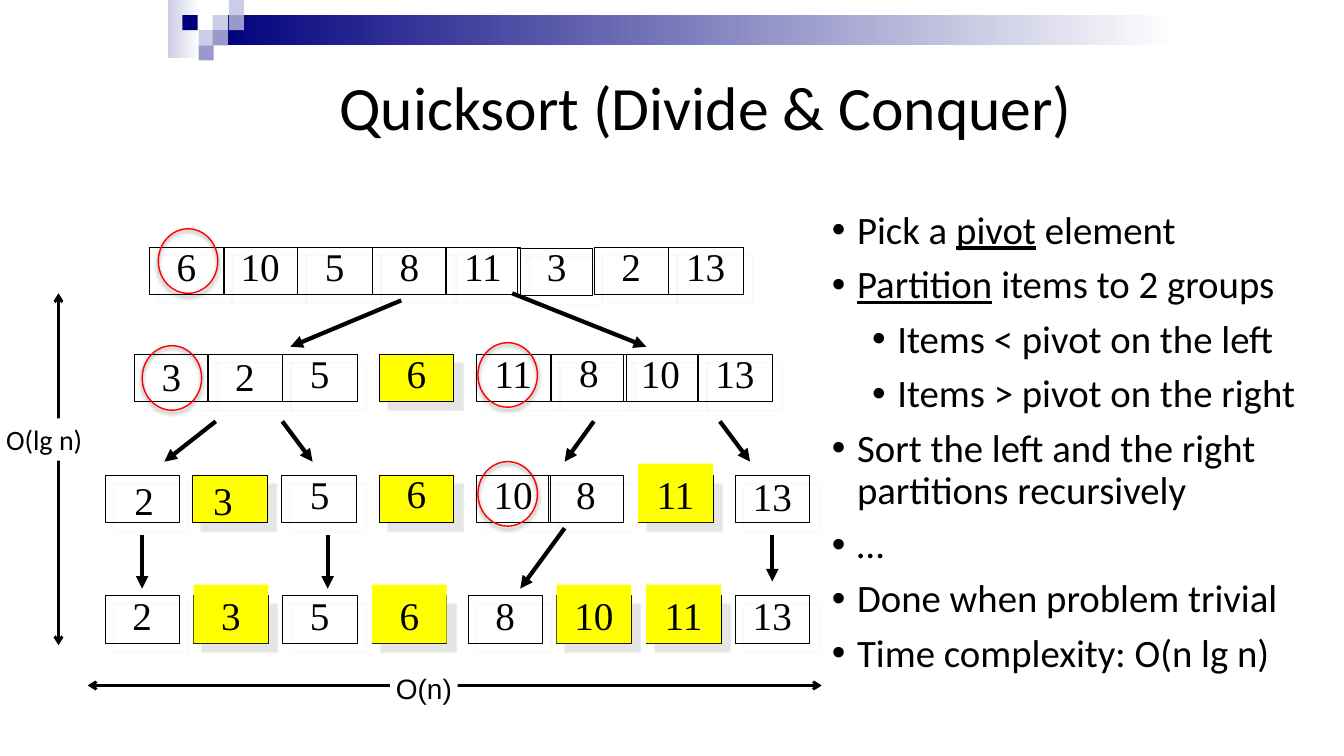
from enum import Enum
from typing import NamedTuple

from lxml.etree import SubElement
from pptx import Presentation
from pptx.dml.color import RGBColor
from pptx.enum.shapes import MSO_CONNECTOR, MSO_SHAPE
from pptx.enum.text import MSO_ANCHOR, MSO_AUTO_SIZE, PP_ALIGN
from pptx.oxml.ns import qn
from pptx.util import Emu, Pt

PX = 9144  # 100 px to the inch
BLACK = RGBColor(0, 0, 0)
WHITE = RGBColor(255, 255, 255)
RED = RGBColor(255, 0, 0)
YELLOW = RGBColor(255, 255, 0)
NAVY = RGBColor(0x00, 0x00, 0x7D)
LILAC = RGBColor(0x99, 0x99, 0xCC)
PALE = RGBColor(0xCC, 0xCC, 0xE6)
GREY = RGBColor(0xE7, 0xE6, 0xE6)
CELL_W, CELL_H = 74, 47


class Kind(Enum):
    PLAIN = 0
    PIVOT = 1
    LIT = 2
    FULL = 3  # the number's own box is yellow too


class Cell(NamedTuple):
    x: int
    num: str
    kind: Kind = Kind.PLAIN
    dx: int = 0
    dy: int = 0
    sink: int = 0


class Row(NamedTuple):
    y: int
    cells: list[Cell]


class Arrow(NamedTuple):
    x1: int
    y1: int
    x2: int
    y2: int
    width: int = 3
    tip: str = "triangle"
    double: bool = False


class Shade(NamedTuple):
    color: RGBColor
    alpha: int
    blur: int
    dist: int
    angle: int


class Label(NamedTuple):
    text: str
    box: tuple[int, int, int, int]
    face: str
    align: PP_ALIGN


class Item(NamedTuple):
    runs: list[tuple[str, bool]]  # text, underlined
    level: int = 0


PLAIN, PIVOT, LIT, FULL = Kind
CELL_SHADE = Shade(GREY, 100, 1, 9, 45)
RING_SHADE = Shade(BLACK, 50, 3, 2, 90)

ROWS = [
    Row(245, [Cell(148, "6", PIVOT), Cell(221, "10"), Cell(295, "5"), Cell(369, "8"),
              Cell(442, "11"), Cell(513, "3", dx=2, sink=1), Cell(589, "2"), Cell(663, "13")]),
    Row(351, [Cell(133, "3", PIVOT, dy=3), Cell(206, "2", dy=3), Cell(280, "5"),
              Cell(376, "6", LIT), Cell(472, "11", PIVOT), Cell(547, "8", dy=-1),
              Cell(618, "10"), Cell(692, "13")]),
    Row(471, [Cell(104, "2", dx=2, dy=6), Cell(191, "3", LIT, dx=-7, dy=6),
              Cell(279, "5", dx=1), Cell(376, "6", LIT, dy=-1), Cell(472, "10", PIVOT),
              Cell(544, "8"), Cell(633, "11", FULL), Cell(729, "13", dy=2)]),
    Row(591, [Cell(104, "2"), Cell(192, "3", FULL), Cell(280, "5"), Cell(369, "6", FULL),
              Cell(464, "8"), Cell(552, "10", FULL), Cell(641, "11", FULL), Cell(729, "13")]),
]
RINGS = [(157, 227), (141, 343), (474, 340), (474, 458)]
ARROWS = [
    Arrow(398, 298, 288, 344), Arrow(508, 291, 641, 344),
    Arrow(214, 418, 163, 458), Arrow(280, 418, 310, 458),
    Arrow(589, 418, 560, 458), Arrow(714, 418, 744, 458),
    Arrow(141, 531, 141, 584), Arrow(325, 531, 325, 584),
    Arrow(560, 524, 516, 584), Arrow(766, 531, 766, 577),
    Arrow(58, 291, 58, 640, 2, "arrow", True),
    Arrow(815, 680, 87, 680, 2, "arrow", True),
]
LABELS = [Label("O(lg n)", (0, 415, 88, 42), "Calibri", PP_ALIGN.LEFT),
          Label("O(n)", (387, 660, 67, 45), "Arial", PP_ALIGN.CENTER)]
BANDS = [((167, 0, 31, 58), PALE), ((212, 15, 955, 30), NAVY)]
TILES = [(211, 15, PALE), (227, 0, PALE), (227, 15, LILAC), (197, 30, PALE),
         (181, 15, NAVY), (211, 30, LILAC), (197, 45, LILAC)]
ITEMS = [
    Item([("Pick a ", False), ("pivot", True), (" element", False)]),
    Item([("Partition", True), (" items to 2 groups", False)]),
    Item([("Items < pivot on the left", False)], 1),
    Item([("Items > pivot on the right", False)], 1),
    Item([("Sort the left and the right partitions recursively", False)]),
    Item([("…", False)]),
    Item([("Done when problem trivial", False)]),
    Item([("Time complexity: O(n lg n)", False)]),
]


def px(*nums: int) -> list[Emu]:
    return [Emu(n * PX) for n in nums]


def paint(shape, fill: RGBColor | None) -> None:
    if fill is None:
        shape.fill.background()
    else:
        shape.fill.solid()
        shape.fill.fore_color.rgb = fill


def draw(slide, form: MSO_SHAPE, box, fill=None, line=None, width=0.25, shade: Shade | None = None):
    shape = slide.shapes.add_shape(form, *px(*box))
    paint(shape, fill)
    if line is None:
        shape.line.fill.background()
    else:
        shape.line.color.rgb, shape.line.width = line, Pt(width)
    shape.shadow.inherit = False
    if shade:
        glow = SubElement(shape._element.spPr.find(qn("a:effectLst")), qn("a:outerShdw"),
                          blurRad=str(Pt(shade.blur)), dist=str(Pt(shade.dist)),
                          dir=str(shade.angle * 60000), algn="ctr", rotWithShape="0")
        tint = SubElement(glow, qn("a:srgbClr"), val=str(shade.color))
        SubElement(tint, qn("a:alpha"), val=str(shade.alpha * 1000))
    return shape


def frame(shape, pad: int, anchor: MSO_ANCHOR, wrap: bool = True):
    text = shape.text_frame
    text.auto_size, text.word_wrap = MSO_AUTO_SIZE.NONE, wrap
    text.vertical_anchor = anchor
    text.margin_left = text.margin_right = text.margin_top = text.margin_bottom = Emu(pad * PX)
    return text


def add_run(para, text: str, face: str, size: float, under: bool = False) -> None:
    run = para.add_run()
    run.text = text
    font = run.font
    font.name, font.size, font.color.rgb = face, Pt(size), BLACK
    if under:
        font.underline = True


def write(slide, label: str, box, fill, pad: int, anchor, face: str, size: int, align, wrap=True) -> None:
    shape = slide.shapes.add_textbox(*px(*box))
    paint(shape, fill)
    para = frame(shape, pad, anchor, wrap).paragraphs[0]
    para.alignment = align
    add_run(para, label, face, size)


def add_cell(slide, cell: Cell, y: int) -> None:
    fill = YELLOW if cell.kind in (LIT, FULL) else None
    draw(slide, MSO_SHAPE.RECTANGLE, (cell.x, y + cell.sink, CELL_W, CELL_H), fill, BLACK, shade=CELL_SHADE)
    high = 62 if cell.kind is PLAIN else 58
    box = (cell.x + cell.dx, y + CELL_H + cell.dy - high, CELL_W, high)
    write(slide, cell.num, box, YELLOW if cell.kind is FULL else None, 5,
          MSO_ANCHOR.BOTTOM, "Times New Roman", 28, PP_ALIGN.CENTER)


def add_arrow(slide, arrow: Arrow) -> None:
    link = slide.shapes.add_connector(MSO_CONNECTOR.STRAIGHT, *px(*arrow[:4]))
    link.line.color.rgb, link.line.width = BLACK, Pt(arrow.width)
    for end in ("a:headEnd", "a:tailEnd") if arrow.double else ("a:tailEnd",):
        SubElement(link.line._get_or_add_ln(), qn(end), type=arrow.tip)
    SubElement(link._element.spPr, qn("a:effectLst"))


def add_item(para, item: Item, first: bool) -> None:
    para.level = item.level
    props = para._p.get_or_add_pPr()
    props.set("marL", str((65 if item.level else 25) * PX))
    props.set("indent", str(-25 * PX))
    SubElement(props, qn("a:buFont"), typeface="Arial")
    SubElement(props, qn("a:buChar"), char="•")
    para.line_spacing, para.space_before = 0.9, Pt(0 if first else 9)
    for text, under in item.runs:
        add_run(para, text, "Calibri", 27.7, under)


def main() -> None:
    deck = Presentation()
    deck.slide_width, deck.slide_height = px(1333, 750)
    slide = deck.slides.add_slide(deck.slide_layouts[1])
    title, body = slide.placeholders

    # Banner
    for box, tone in BANDS:
        band = draw(slide, MSO_SHAPE.RECTANGLE, box)
        band.fill.gradient()
        band.fill.gradient_angle = 180
        for stop, color in zip(band.fill.gradient_stops, (WHITE, tone)):
            stop.color.rgb = color
    for x, y, tone in TILES:
        draw(slide, MSO_SHAPE.RECTANGLE, (x, y, 15, 15), tone)

    # Title and list
    title.left, title.top, title.width, title.height = px(310, 68, 781, 107)
    head = frame(title, 0, MSO_ANCHOR.TOP).paragraphs[0]
    head.alignment = PP_ALIGN.CENTER
    add_run(head, "Quicksort (Divide & Conquer)", "Calibri", 44)
    body.left, body.top, body.width, body.height = px(815, 204, 501, 500)
    text = frame(body, 5, MSO_ANCHOR.TOP)
    text.margin_left = text.margin_right = Emu(10 * PX)
    for i, item in enumerate(ITEMS):
        add_item(text.add_paragraph() if i else text.paragraphs[0], item, i == 0)

    # Sorting tree
    for row in ROWS:
        for cell in row.cells:
            add_cell(slide, cell, row.y)
    for arrow in ARROWS:
        add_arrow(slide, arrow)
    for label in LABELS:
        write(slide, label.text, label.box, WHITE, 6, MSO_ANCHOR.MIDDLE, label.face, 20, label.align, False)
    for x, y in RINGS:
        draw(slide, MSO_SHAPE.OVAL, (x, y, 59, 64), None, RED, 1, RING_SHADE)

    deck.save("out.pptx")


if __name__ == "__main__":
    main()
